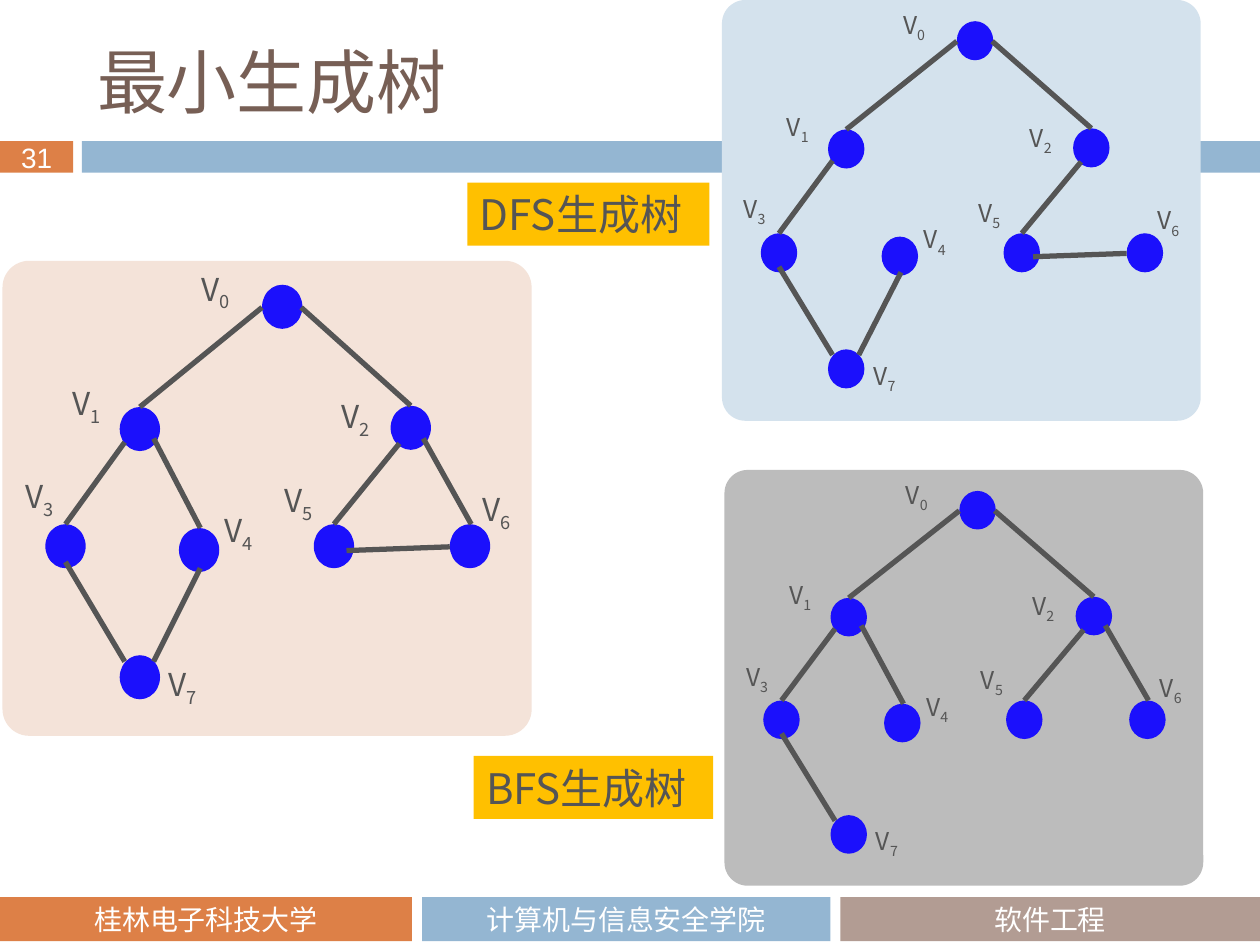
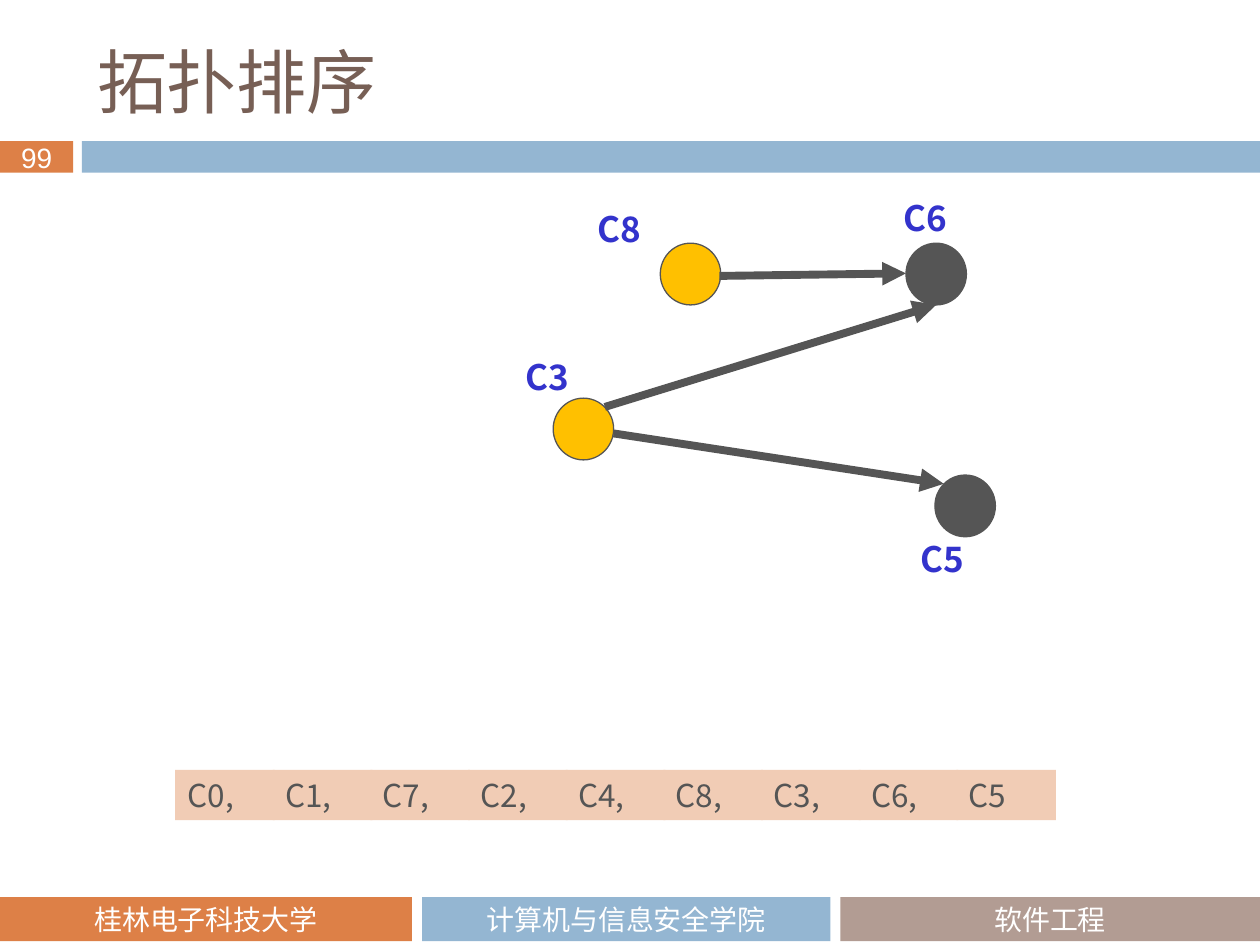
"""Build two slides on spanning trees and topological sorting."""
from lxml.etree import SubElement
from pptx import Presentation
from pptx.dml.color import RGBColor
from pptx.enum.shapes import MSO_CONNECTOR, MSO_SHAPE as SHAPE
from pptx.enum.text import MSO_ANCHOR, PP_ALIGN as ALIGN
from pptx.oxml.ns import qn
from pptx.util import Inches, Pt

COLORS = {
    "orange": "DD8047", "blue": "94B6D2", "mauve": "B29C93", "brown": "775F55",
    "white": "FFFFFF", "ink": "555555", "node": "1B10FC", "gold": "FFC000",
    "peach": "F4E3D9", "sky": "D4E2ED", "grey": "BCBCBC", "strip": "F1CCB5",
    "label": "3333CC",
}
COLORS = {name: RGBColor.from_string(value) for name, value in COLORS.items()}
SANS = "Noto Sans CJK SC"
TITLE_FONT = "Noto Sans CJK JP"


def put(shapes, kind, box, fill=None, text="", size=18, color="ink", font=SANS,
        align=ALIGN.LEFT, bold=False, outline=None, subscript=""):
    """Add a filled shape, or a text box when kind is None."""
    box = [Inches(value) for value in box]
    if kind is None:
        shape = shapes.add_textbox(*box)
    else:
        shape = shapes.add_shape(kind, *box)
        shape.shadow.inherit = False
        shape.fill.solid()
        shape.fill.fore_color.rgb = COLORS[fill]
        if outline:
            shape.line.color.rgb = COLORS[outline]
            shape.line.width = Pt(0.75)
        else:
            shape.line.fill.background()
    if text:
        frame = shape.text_frame
        frame.word_wrap = True
        frame.vertical_anchor = MSO_ANCHOR.MIDDLE
        frame.margin_top = frame.margin_bottom = 0
        paragraph = frame.paragraphs[0]
        paragraph.alignment = align
        paragraph.add_run().text = text
        if subscript:
            run = paragraph.add_run()
            run.text = subscript
            run._r.get_or_add_rPr().set("baseline", "-25000")
        paragraph.font.size = Pt(size)
        paragraph.font.bold = bold
        paragraph.font.name = font
        paragraph.font.color.rgb = COLORS[color]
        SubElement(paragraph._p.pPr.find(qn("a:defRPr")), qn("a:ea"), typeface=font)
    return shape


def link(shapes, start, end, width, arrow=False):
    """Draw a straight line between two points."""
    line = shapes.add_connector(
        MSO_CONNECTOR.STRAIGHT, *[Inches(value) for value in (*start, *end)])
    line.line.color.rgb = COLORS["ink"]
    line.line.width = Pt(width)
    properties = line._element.spPr
    if arrow:
        SubElement(properties.find(qn("a:ln")), qn("a:tailEnd"), type="triangle")
    SubElement(properties, qn("a:effectLst"))


deck = Presentation()
deck.slide_width, deck.slide_height = Inches(10), Inches(7.5)

FOOTERS = [
    (0, 3.27, "orange", "桂林电子科技大学"),
    (3.35, 3.24, "blue", "计算机与信息安全学院"),
    (6.67, 3.33, "mauve", "软件工程"),
]
for heading, number in [("最小生成树", "31"), ("拓扑排序", "99")]:
    slide = deck.slides.add_slide(deck.slide_layouts[5])
    title = slide.shapes.title
    title.left, title.top = Inches(0.67), Inches(0.25)
    title.width, title.height = Inches(8.92), Inches(0.78)
    title.text_frame.text = heading
    title.text_frame.vertical_anchor = MSO_ANCHOR.MIDDLE
    paragraph = title.text_frame.paragraphs[0]
    paragraph.alignment = ALIGN.LEFT
    paragraph.font.size = Pt(40)
    paragraph.font.name = TITLE_FONT
    paragraph.font.color.rgb = COLORS["brown"]
    SubElement(paragraph._p.pPr.find(qn("a:defRPr")), qn("a:ea"), typeface=TITLE_FONT)

    put(slide.shapes, SHAPE.RECTANGLE, (0, 1.12, 0.58, 0.25), "orange", number,
        16, "white", "Arial", ALIGN.CENTER)
    put(slide.shapes, SHAPE.RECTANGLE, (0.65, 1.12, 9.35, 0.25), "blue")
    for left, width, fill, name in FOOTERS:
        put(slide.shapes, SHAPE.RECTANGLE, (left, 7.12, width, 0.35), fill, name,
            16, "white", "Calibri", ALIGN.CENTER)

tree_slide, sort_slide = deck.slides

PANEL_LEFT, PANEL_TOP, PANEL_WIDTH, PANEL_HEIGHT = 0.02, 2.07, 4.2, 3.77
VERTICES = [(2.08, 2.26), (0.95, 3.23), (3.1, 3.22), (0.36, 4.16),
            (1.42, 4.19), (2.49, 4.16), (3.57, 4.16), (0.95, 5.2)]
VERTEX_LABELS = [(1.5, 2.11), (0.48, 3.02), (2.61, 3.12), (0.1, 3.76),
                 (1.68, 4.03), (2.16, 3.79), (3.73, 3.86), (1.24, 5.25)]
EDGES = {
    (0, 1): ((2.08, 2.44), (1.11, 3.23)),
    (0, 2): ((2.39, 2.44), (3.26, 3.22)),
    (1, 3): ((0.99, 3.51), (0.52, 4.16)),
    (1, 4): ((1.22, 3.48), (1.59, 4.19)),
    (3, 7): ((0.52, 4.46), (0.99, 5.25)),
    (2, 6): ((3.36, 3.48), (3.74, 4.16)),
    (4, 7): ((1.59, 4.51), (1.22, 5.25)),
    (2, 5): ((3.17, 3.52), (2.65, 4.16)),
    (5, 6): ((2.75, 4.37), (3.57, 4.34)),
}
GRAPHS = [
    ((0.02, 2.07, 4.2, 3.77), "peach", 18, []),
    ((5.73, 0, 3.8, 3.34), "sky", 14, [(1, 4), (2, 6)]),
    ((5.75, 3.73, 3.8, 3.3), "grey", 14, [(4, 7), (5, 6)]),
]
for panel, fill, label_size, dropped in GRAPHS:
    left, top, width, height = panel
    scale_x, scale_y = width / PANEL_WIDTH, height / PANEL_HEIGHT
    graph = tree_slide.shapes.add_group_shape().shapes
    backdrop = put(graph, SHAPE.ROUNDED_RECTANGLE, panel, fill)
    backdrop.adjustments[0] = 0.056

    def_points = lambda points: [
        (left + (x - PANEL_LEFT) * scale_x, top + (y - PANEL_TOP) * scale_y)
        for x, y in points]
    for x, y in def_points(VERTICES):
        put(graph, SHAPE.OVAL, (x, y, 0.32 * scale_x, 0.35 * scale_y), "node")
    for edge, ends in EDGES.items():
        if edge not in dropped:
            link(graph, *def_points(ends), 3)
    for index, (x, y) in enumerate(def_points(VERTEX_LABELS)):
        put(graph, None, (x, y, 0.48 * scale_x, 0.4 * scale_y), text="V",
            size=label_size, subscript=str(index))

for box, name in [((3.71, 1.45, 1.92, 0.5), "DFS生成树"),
                  ((3.76, 6, 1.9, 0.5), "BFS生成树")]:
    put(tree_slide.shapes, SHAPE.RECTANGLE, box, "gold", name, 24)

COURSES = [
    ("C6", (7.19, 1.93), (7.07, 1.51), "ink"),
    ("C8", (5.24, 1.93), (4.64, 1.59), "gold"),
    ("C3", (4.39, 3.16), (4.07, 2.77), "gold"),
    ("C5", (7.42, 3.77), (7.21, 4.21), "ink"),
]
for course, node_at, label_at, fill in COURSES:
    put(sort_slide.shapes, SHAPE.OVAL, (*node_at, 0.48, 0.49), fill, outline="ink")
    put(sort_slide.shapes, None, (*label_at, 0.68, 0.44), text=course, size=20,
        color="label", bold=True)
for start, end in [((4.87, 3.44), (7.49, 3.84)),
                   ((5.71, 2.19), (7.19, 2.17)),
                   ((4.8, 3.23), (7.43, 2.42))]:
    link(sort_slide.shapes, start, end, 4.5, arrow=True)

ORDER = ["C0,", "C1,", "C7,", "C2,", "C4,", "C8,", "C3,", "C6,", "C5"]
ORDER_STEP = 6.2 / (len(ORDER) - 1)
for position, course in enumerate(ORDER):
    put(sort_slide.shapes, SHAPE.RECTANGLE,
        (1.39 + position * ORDER_STEP, 6.11, 0.79, 0.4), "strip", course)

deck.save("out.pptx")
